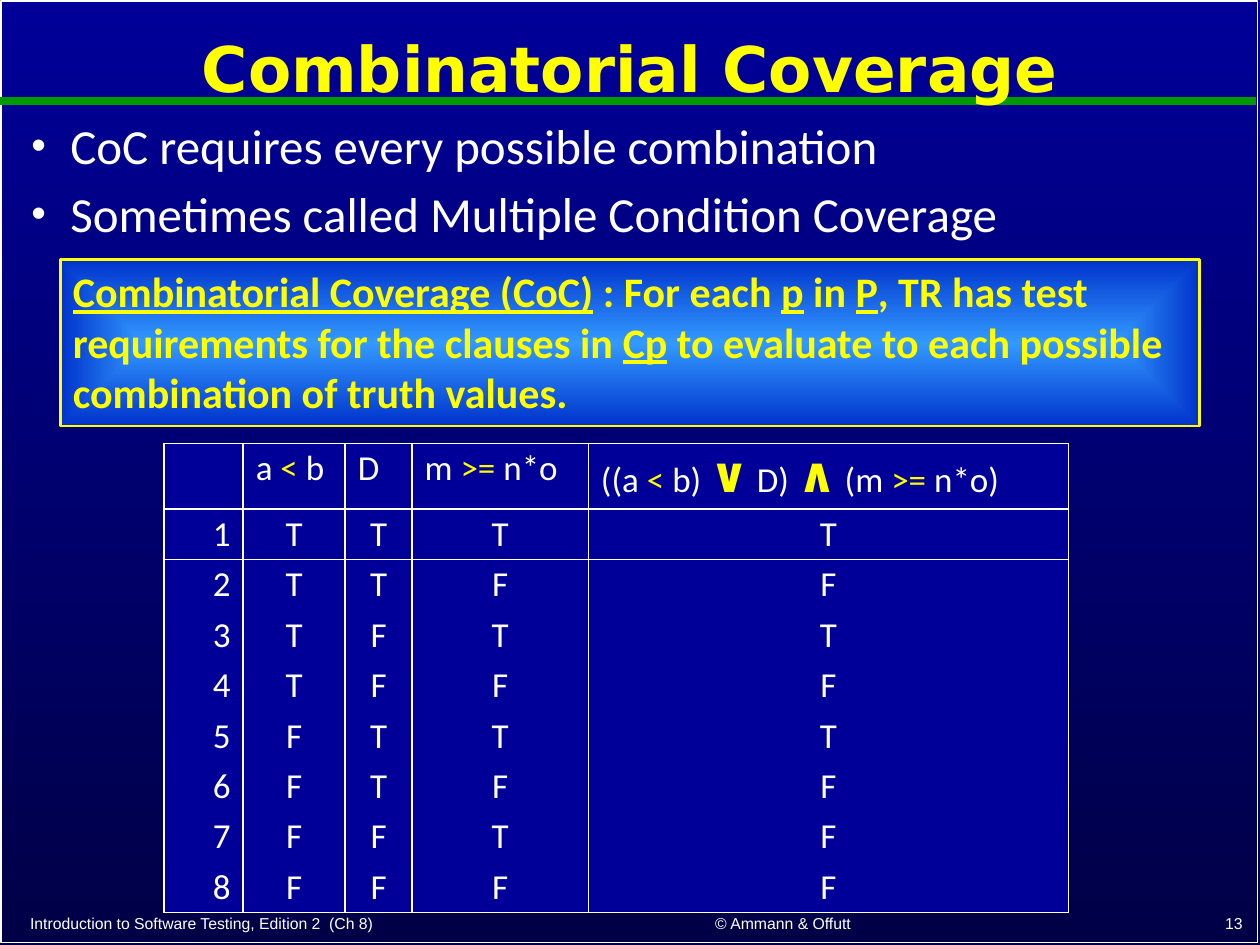
"""Build the combinatorial coverage slide with its truth table."""
from dataclasses import dataclass
from itertools import product

from lxml import etree
from pptx import Presentation, util as u
from pptx.dml.color import RGBColor
from pptx.enum import shapes, text
from pptx.oxml import ns

WHITE, YELLOW, GREEN, NAVY = "FFFFFF", "FFFF00", "009900", "000099"
LEFT, MID, RIGHT = text.PP_ALIGN.LEFT, text.PP_ALIGN.CENTER, text.PP_ALIGN.RIGHT
PLAIN = {"name": "Calibri", "size": u.Pt(20), "bold": False, "color": WHITE}
BODY = PLAIN | {"size": u.Pt(28)}
FOOT = PLAIN | {"name": "Arial", "size": u.Pt(9)}
HEAD = {"name": "DejaVu Sans", "size": u.Pt(36), "bold": True, "color": YELLOW}
RULE = {"name": "Calibri", "size": u.Pt(24), "bold": True, "color": YELLOW}
LOGIC = {"size": u.Pt(28), "bold": True, "color": YELLOW}
MARKS = {"<": {"color": YELLOW}, ">=": {"color": YELLOW}, "∨": LOGIC, "∧": LOGIC}
TERMS = dict.fromkeys(("Combinatorial Coverage (CoC)", "p", "P", "Cp"), {"underline": True})
NO_STYLE = "{2D5ABB26-0587-4C30-8999-92F81FD0307C}"


@dataclass
class Note:
    """A footer text with its place and alignment."""
    words: str
    box: tuple
    align: int


@dataclass
class Col:
    """A table column with its width, heading runs and body alignment."""
    width: float
    head: tuple
    align: int = MID


NOTES = [
    Note("Introduction to Software Testing, Edition 2  (Ch 8)", (0.14, 7.12, 4.35, 0.33), LEFT),
    Note("© Ammann & Offutt", (4.63, 7.11, 3.17, 0.34), MID),
    Note("13", (7.88, 7.1, 2.08, 0.35), RIGHT),
]
POINTS = ["CoC requires every possible combination",
          "Sometimes called Multiple Condition Coverage"]
CLAIM = ("Combinatorial Coverage (CoC)", " : For each ", "p", " in ", "P",
         ", TR has test requirements for the clauses in ", "Cp",
         " to evaluate to each possible combination of truth values.")
COLS = [
    Col(0.63, (), RIGHT),
    Col(0.81, ("a ", "<", " b")),
    Col(0.53, ("D",)),
    Col(1.4, ("m ", ">=", " n*o")),
    Col(3.81, ("((a ", "<", " b) ", "∨", " D) ", "∧", " ", "(m ", ">=", " n*o)")),
]


def ink(code: str) -> RGBColor:
    """Turn a hex string into a colour."""
    return RGBColor.from_string(code)


def area(box: tuple) -> list:
    """Turn inches into lengths."""
    return [u.Inches(v) for v in box]


def node(host, tag: str, **attrs):
    """Append a drawing element to a host element."""
    return etree.SubElement(host, ns.qn(tag), attrs)


def write(para, runs: tuple, base: dict, marks: dict = {}, **layout) -> None:
    """Write runs in a base format, with overrides for marked words."""
    for key, val in layout.items():
        setattr(para, key, val)
    for words in runs:
        run = para.add_run()
        run.text = words
        for key, val in (base | marks.get(words, {})).items():
            if key == "color":
                run.font.color.rgb = ink(val)
            else:
                setattr(run.font, key, val)


def blend(fill, first: str, last: str) -> None:
    """Give a fill a two-colour gradient."""
    fill.gradient()
    for stop, code in zip(fill.gradient_stops, (first, last)):
        stop.color.rgb = ink(code)


def block(slide, box: tuple, code: str, width: float):
    """Add a hollow rectangle with a coloured outline."""
    rect = slide.shapes.add_shape(shapes.MSO_SHAPE.RECTANGLE, *area(box))
    rect.shadow.inherit = False
    rect.fill.background()
    rect.line.color.rgb = ink(code)
    rect.line.width = u.Pt(width)
    return rect


def frame(slide) -> None:
    """Draw the background, outline, title rule and footer."""
    fill = slide.background.fill
    blend(fill, NAVY, "000047")
    fill.gradient_angle = 270
    block(slide, (0.01, 0.01, 9.97, 7.47), WHITE, 1)
    bar = slide.shapes.add_connector(shapes.MSO_CONNECTOR.STRAIGHT, *area((0, 0.8, 9.97, 0.8)))
    bar.line.color.rgb = ink(GREEN)
    bar.line.width = u.Pt(4.5)
    node(bar.element.spPr, "a:effectLst")
    for note in NOTES:
        body = slide.shapes.add_textbox(*area(note.box)).text_frame
        body.word_wrap = False
        body.vertical_anchor = text.MSO_ANCHOR.BOTTOM
        write(body.paragraphs[0], (note.words,), FOOT, alignment=note.align)


def title(slide) -> None:
    """Place the title above the rule."""
    head = slide.shapes.title
    head.left, head.top, head.width, head.height = area((0, 0.05, 10, 1.04))
    head.text_frame.vertical_anchor = text.MSO_ANCHOR.MIDDLE
    write(head.text_frame.paragraphs[0], ("Combinatorial Coverage",), HEAD,
          alignment=MID, line_spacing=0.9)
    slide.shapes.element.append(head.element)


def points(slide) -> None:
    """Write the bulleted points."""
    body = slide.shapes.add_textbox(*area((0.15, 0.92, 9.31, 1))).text_frame
    body.word_wrap = True
    for i, words in enumerate(POINTS):
        para = body.add_paragraph() if i else body.paragraphs[0]
        write(para, (words,), BODY, line_spacing=0.9, space_before=u.Pt(8.4))
        props = para._p.get_or_add_pPr()
        props.set("marL", str(u.Inches(0.31)))
        props.set("indent", str(u.Inches(-0.31)))
        node(props, "a:buSzPct", val="85000")
        node(props, "a:buFont", typeface="Arial")
        node(props, "a:buChar", char="•")


def claim(slide) -> None:
    """Draw the definition box."""
    rect = block(slide, (0.48, 2.06, 9.04, 1.32), YELLOW, 1.5)
    blend(rect.fill, "3399FF", "0033CC")
    grad = rect.element.spPr.find(ns.qn("a:gradFill"))
    grad.remove(grad.find(ns.qn("a:lin")))
    way = node(grad, "a:path", path="shape")
    node(way, "a:fillToRect", **dict.fromkeys("ltrb", "50000"))
    body = rect.text_frame
    body.word_wrap = True
    body.auto_size = text.MSO_AUTO_SIZE.SHAPE_TO_FIT_TEXT
    body.vertical_anchor = text.MSO_ANCHOR.TOP
    write(body.paragraphs[0], CLAIM, RULE, TERMS, alignment=LEFT)


def edge(cell, sides: str) -> None:
    """Draw white borders on the named sides, then fill the cell."""
    props = cell._tc.get_or_add_tcPr()
    for side in sides:
        line = node(props, f"a:ln{side}", w=str(u.Pt(1)))
        node(node(line, "a:solidFill"), "a:srgbClr", val=WHITE)
    cell.fill.solid()
    cell.fill.fore_color.rgb = ink(NAVY)


def truth() -> list:
    """List the numbered rows of clause values and predicate results."""
    return [(str(i), *("FT"[v] for v in (a, d, m, (a or d) and m)))
            for i, (a, d, m) in enumerate(product((True, False), repeat=3), 1)]


def table(slide) -> None:
    """Build the truth table."""
    rows = [col.head for col in COLS], *truth()
    last = len(rows) - 1
    grid = slide.shapes.add_table(len(rows), len(COLS), *area((1.3, 3.52, 7.18, 3.66))).table
    grid.first_row = grid.horz_banding = False
    grid._tbl.tblPr.find(ns.qn("a:tableStyleId")).text = NO_STYLE
    for c, col in enumerate(COLS):
        grid.columns[c].width = u.Inches(col.width)
    for r, row in enumerate(rows):
        grid.rows[r].height = u.Inches(0.4 if r else 0.46)
        sides = "LR" + "T" * (r < 2) + "B" * (r in (0, last))
        for c, (col, words) in enumerate(zip(COLS, row)):
            cell = grid.cell(r, c)
            write(cell.text_frame.paragraphs[0], words, PLAIN, MARKS,
                  alignment=col.align if r else LEFT, line_spacing=0.9)
            edge(cell, sides)


def main() -> None:
    """Assemble and save the slide."""
    deck = Presentation()
    deck.slide_width, deck.slide_height = area((10, 7.5))
    slide = deck.slides.add_slide(deck.slide_layouts[5])
    for draw in (frame, title, points, claim, table):
        draw(slide)
    deck.save("out.pptx")


if __name__ == "__main__":
    main()
